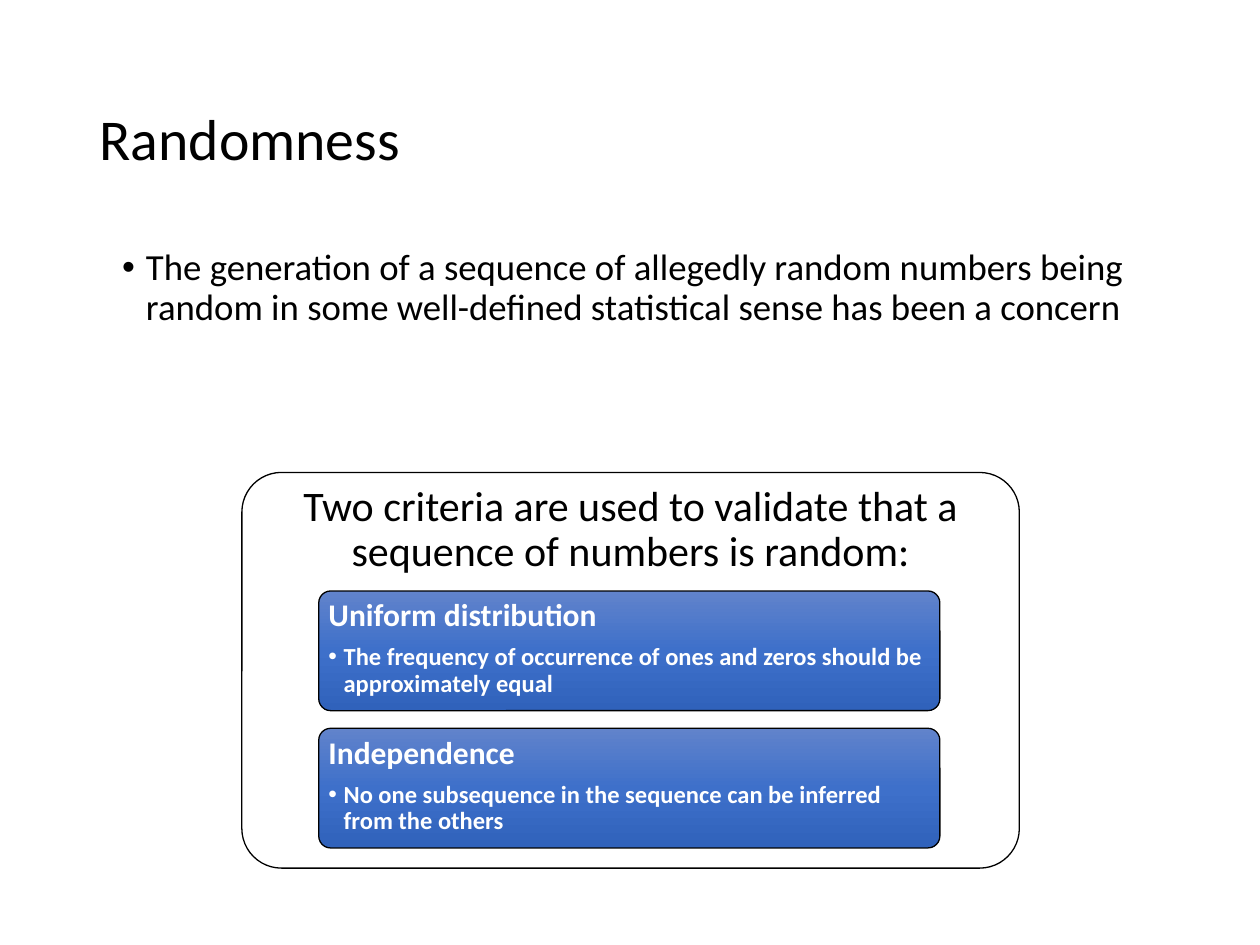
"""Build the Randomness slide with its two validation criteria."""
from lxml.etree import SubElement
from pptx import Presentation
from pptx.dml.color import RGBColor
from pptx.enum.shapes import MSO_SHAPE
from pptx.enum.text import MSO_ANCHOR, PP_ALIGN
from pptx.oxml.ns import qn
from pptx.util import Inches, Pt

INK = {"text": "000000", "panel": "FFFFFF", "light": "FFFFFF", "line": "000000"}
SHADE = {0: "6183CB", 50: "3E70CA", 100: "3062BB"}
FONT = "Calibri"
WIDE, HIGH = 10, 7.5
PANEL = (1.92, 3.75, 6.17, 3.14)
CARD = (2.53, 4.69, 4.93, 0.95)
STEP = 1.09
CARDS = [
    ("Uniform distribution",
     "The frequency of occurrence of ones and zeros should be approximately equal"),
    ("Independence",
     "No one subsequence in the sequence can be inferred from the others"),
]


def color(name):
    return RGBColor.from_string(INK[name])


def frame(shape, anchor=MSO_ANCHOR.TOP, pad=(0.1, 0.05)):
    area = shape.text_frame
    area.word_wrap = True
    area.vertical_anchor = anchor
    area.margin_left = area.margin_right = Inches(pad[0])
    area.margin_top = area.margin_bottom = Inches(pad[1])
    return area


def write(para, text, size, ink="text", bold=False, align=PP_ALIGN.LEFT,
          after=0, hang=0):
    if hang:
        props = para._p.get_or_add_pPr()
        props.set("marL", str(Inches(hang)))
        props.set("indent", str(-Inches(hang)))
        SubElement(props, qn("a:buFont")).set("typeface", "Arial")
        SubElement(props, qn("a:buChar")).set("char", "•")
    para.alignment = align
    para.line_spacing = 0.9
    para.space_before, para.space_after = Pt(0), Pt(after)
    run = para.add_run()
    run.text = text
    font = run.font
    font.name, font.size, font.bold = FONT, Pt(size), bold
    font.color.rgb = color(ink)


def blend(shape):
    shape.fill.gradient()
    shape.fill.gradient_angle = 270
    stops = shape._element.spPr.find(qn("a:gradFill")).find(qn("a:gsLst"))
    for stop in list(stops):
        stops.remove(stop)
    for place, shade in SHADE.items():
        stop = SubElement(stops, qn("a:gs"), pos=str(place * 1000))
        SubElement(stop, qn("a:srgbClr"), val=shade)


def box(slide, left, top, width, height):
    shape = slide.shapes.add_shape(
        MSO_SHAPE.ROUNDED_RECTANGLE, *map(Inches, (left, top, width, height)))
    shape.adjustments[0] = 0.1
    shape.shadow.inherit = False
    shape.line.color.rgb = color("line")
    shape.line.width = Pt(0.75)
    return shape


def title(slide, text):
    shape = slide.shapes.title
    shape.left, shape.top = Inches(0.069 * WIDE), Inches(0.053 * HIGH)
    shape.width, shape.height = Inches(0.862 * WIDE), Inches(0.193 * HIGH)
    write(frame(shape, MSO_ANCHOR.MIDDLE).paragraphs[0], text, 33)


def body(slide, text):
    shape = slide.shapes.add_textbox(
        Inches(0.087 * WIDE), Inches(0.257 * HIGH),
        Inches(0.828 * WIDE), Inches(0.676 * HIGH))
    write(frame(shape).paragraphs[0], text, 21, hang=0.19)


def panel(slide, text):
    shape = box(slide, *PANEL)
    shape.fill.solid()
    shape.fill.fore_color.rgb = color("panel")
    area = frame(shape, pad=(0.1, 0.01))
    write(area.paragraphs[0], text, 24, align=PP_ALIGN.CENTER)


def card(slide, row, head, note):
    left, top, width, height = CARD
    shape = box(slide, left, top + row * STEP, width, height)
    blend(shape)
    area = frame(shape, pad=(0.05, 0.04))
    write(area.paragraphs[0], head, 18, ink="light", bold=True, after=6.3)
    write(area.add_paragraph(), note, 14, ink="light", bold=True, hang=0.12)


def main():
    deck = Presentation()
    deck.slide_width, deck.slide_height = Inches(WIDE), Inches(HIGH)
    slide = deck.slides.add_slide(deck.slide_layouts[5])
    title(slide, "Randomness")
    body(slide, "The generation of a sequence of allegedly random numbers being "
                "random in some well-defined statistical sense has been a concern")
    panel(slide, "Two criteria are used to validate that a sequence of numbers "
                 "is random:")
    for row, (head, note) in enumerate(CARDS):
        card(slide, row, head, note)
    deck.save("out.pptx")


if __name__ == "__main__":
    main()
